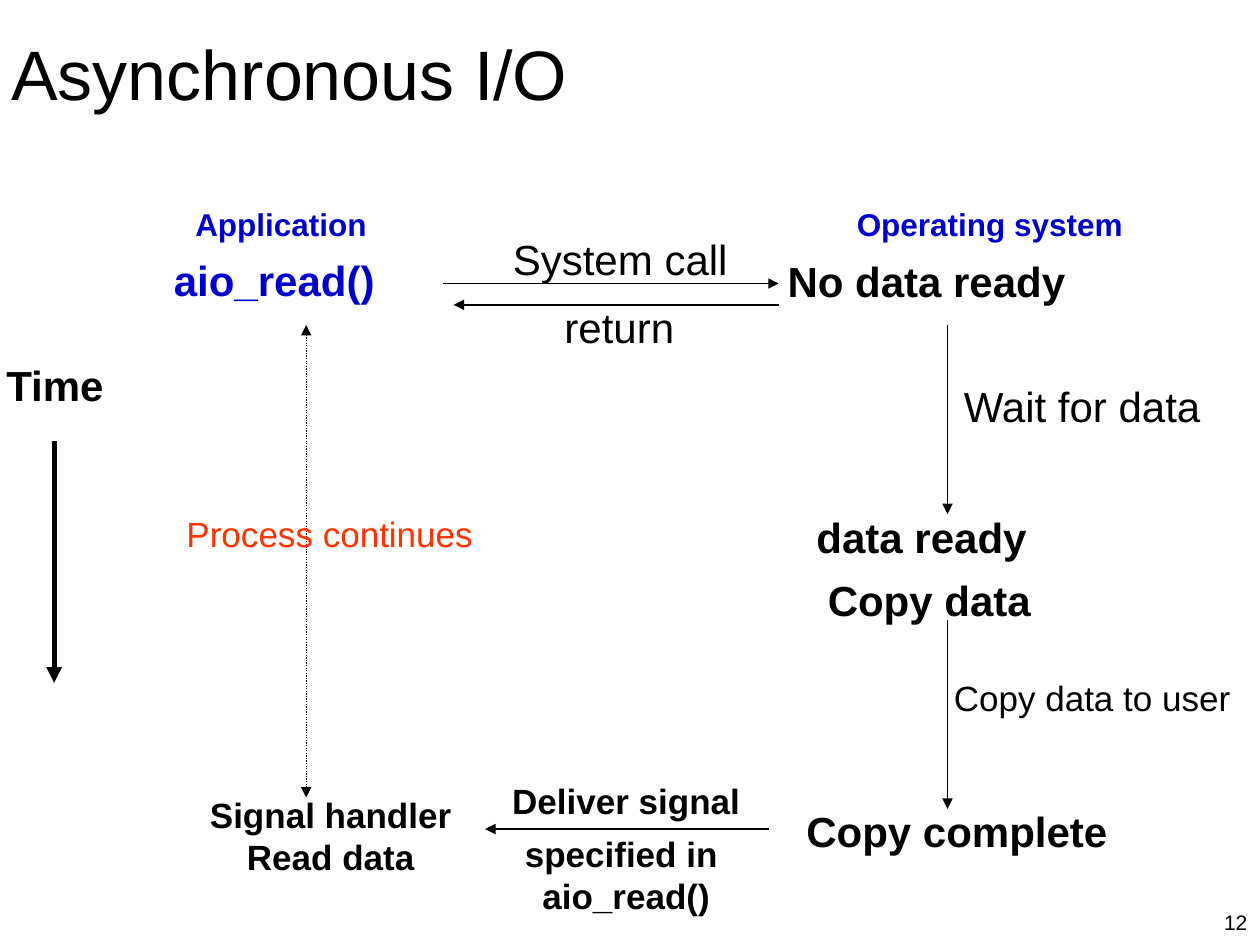
from dataclasses import dataclass
from lxml import etree
from pptx import Presentation
from pptx.dml.color import RGBColor
from pptx.enum.dml import MSO_LINE_DASH_STYLE as Dash
from pptx.enum.shapes import MSO_CONNECTOR_TYPE as Connector
from pptx.enum.text import MSO_ANCHOR as Anchor, MSO_AUTO_SIZE as AutoSize, PP_ALIGN as Align
from pptx.oxml.ns import qn
from pptx.util import Inches, Pt


@dataclass(frozen=True)
class Theme:
    font: str = "Arial"
    ink: str = "000000"
    blue: str = "0000CC"
    red: str = "FF3300"
    title: int = 40
    step: int = 24
    note: int = 20
    heading: int = 18
    number: int = 12
    inset: float = 0.05


THEME = Theme()


def set_values(target, values):
    for name, value in values.items():
        setattr(target, name, value)


def fill_text(shape, lines, size, color=THEME.ink, bold=False, align=Align.LEFT,
              anchor=Anchor.TOP, wrap=False, fit=AutoSize.SHAPE_TO_FIT_TEXT):
    frame = shape.text_frame
    sides = ("margin_left", "margin_top", "margin_right", "margin_bottom")
    set_values(frame, dict.fromkeys(sides, Inches(THEME.inset)))
    set_values(frame, {"word_wrap": wrap, "auto_size": fit, "vertical_anchor": anchor})
    for index, line in enumerate(lines):
        para = frame.add_paragraph() if index else frame.paragraphs[0]
        para.alignment = align
        span = para.add_run()
        span.text = line
        set_values(span.font, {"name": THEME.font, "size": Pt(size), "bold": bold})
        span.font.color.rgb = RGBColor.from_string(color)
    return frame


def add_title(page, text):
    title = page.shapes.title
    set_values(title, {"left": Inches(0.04), "top": Inches(0),
                       "width": Inches(9.91), "height": Inches(0.96)})
    fill_text(title, [text], THEME.title, anchor=Anchor.BOTTOM, wrap=True, fit=AutoSize.NONE)


def add_label(page, place, lines, size, **style):
    box = page.shapes.add_textbox(*map(Inches, place))
    return fill_text(box, lines, size, **style)


def add_arrow(page, start, end, width=0.75, dash=None, both=False):
    arrow = page.shapes.add_connector(Connector.STRAIGHT, *map(Inches, start + end))
    set_values(arrow.line, {"width": Pt(width), "dash_style": dash})
    arrow.line.color.rgb = RGBColor.from_string(THEME.ink)
    outline = arrow.line._get_or_add_ln()
    for tag in ("a:headEnd", "a:tailEnd") if both else ("a:tailEnd",):
        etree.SubElement(outline, qn(tag), type="triangle")
    etree.SubElement(arrow._element.spPr, qn("a:effectLst"))


def add_headings(page):
    for left, width, text in ((1.5, 1.47, "Application"), (6.75, 2.23, "Operating system")):
        add_label(page, (left, 1.58, width, 0.38), [text], THEME.heading,
                  color=THEME.blue, bold=True)


def add_steps(page):
    steps = (
        (1.33, 1.97, 1.71, "aio_read()", THEME.blue),
        (6.2, 1.98, 2.32, "No data ready", THEME.ink),
        (6.43, 4.01, 1.78, "data ready", THEME.ink),
        (6.52, 4.51, 1.73, "Copy data", THEME.ink),
        (6.35, 6.34, 2.5, "Copy complete", THEME.ink),
        (0, 2.8, 0.89, "Time", THEME.ink),
    )
    for left, top, width, text, color in steps:
        add_label(page, (left, top, width, 0.48), [text], THEME.step, color=color, bold=True)


def add_notes(page):
    notes = (
        (4.02, 1.8, 1.82, 0.48, "System call", THEME.step, THEME.ink),
        (4.43, 2.34, 0.98, 0.48, "return", THEME.step, THEME.ink),
        (7.6, 2.97, 1.99, 0.48, "Wait for data", THEME.step, THEME.ink),
        (7.52, 5.32, 2.31, 0.41, "Copy data to user", THEME.note, THEME.ink),
        (1.43, 4.02, 2.38, 0.41, "Process continues", THEME.note, THEME.red),
    )
    for *place, text, size, color in notes:
        add_label(page, place, [text], size, color=color)


def add_signal(page):
    style = {"size": THEME.note, "bold": True, "align": Align.CENTER}
    add_label(page, (1.33, 6.25, 2.59, 0.73), ["Signal handler", "Read data"],
              wrap=True, **style)
    delivery = add_label(page, (3.97, 6.14, 2, 1.13),
                         ["Deliver signal", "specified in ", "aio_read()"], **style)
    delivery.paragraphs[1].space_before = Pt(6)


def add_arrows(page):
    system_x, process_x, time_x = 7.52, 2.43, 0.43
    add_arrow(page, (3.52, 2.25), (6.18, 2.25))
    add_arrow(page, (6.18, 2.42), (3.6, 2.42))
    for top in (2.58, 4.92):
        add_arrow(page, (system_x, top), (system_x, top + 1.5))
    add_arrow(page, (6.1, 6.58), (3.85, 6.58), width=1)
    add_arrow(page, (process_x, 2.58), (process_x, 6.33), dash=Dash.ROUND_DOT, both=True)
    add_arrow(page, (time_x, 3.5), (time_x, 5.42), width=3)


def main():
    deck = Presentation()
    set_values(deck, {"slide_width": Inches(10), "slide_height": Inches(7.5)})
    page = deck.slides.add_slide(deck.slide_layouts.get_by_name("Title Only"))
    add_title(page, "Asynchronous I/O")
    add_arrows(page)
    add_headings(page)
    add_steps(page)
    add_notes(page)
    add_signal(page)
    add_label(page, (9.57, 7.17, 0.38, 0.29), ["12"], THEME.number,
              align=Align.RIGHT, anchor=Anchor.MIDDLE, wrap=True)
    deck.save("out.pptx")


main()
